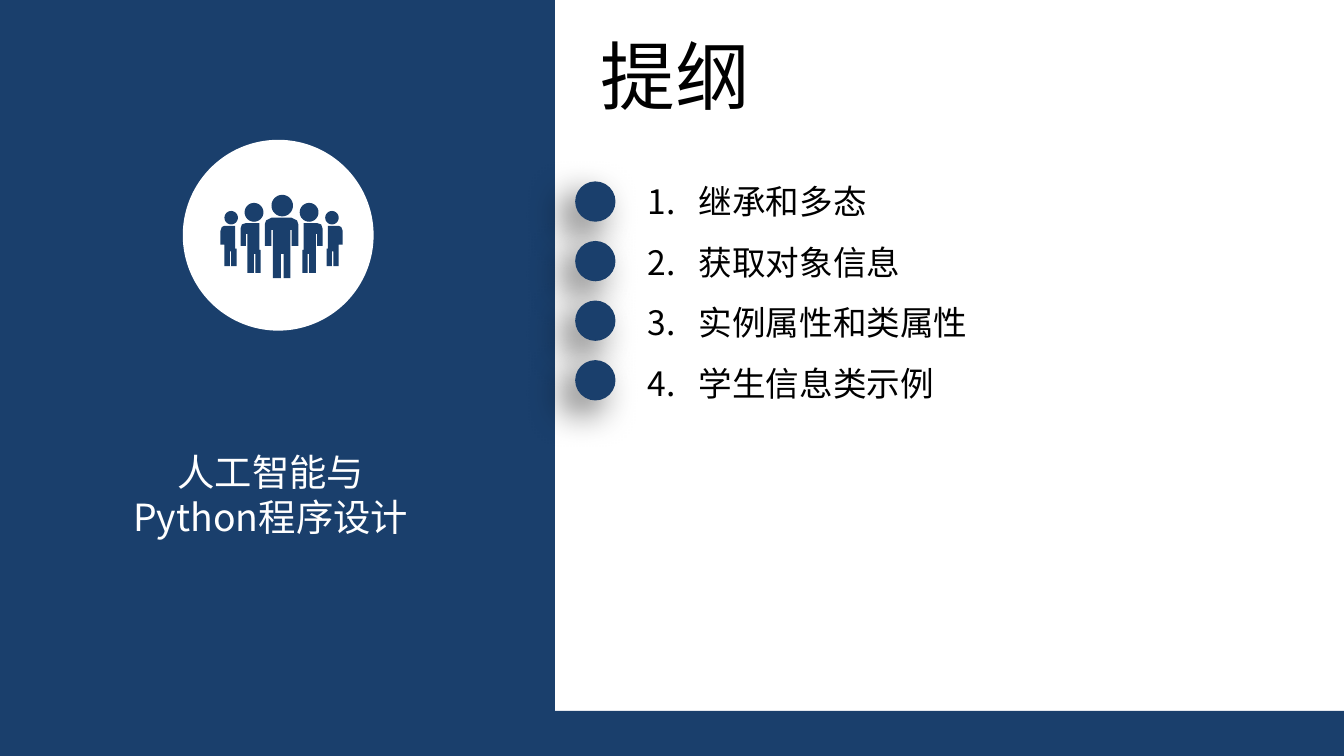
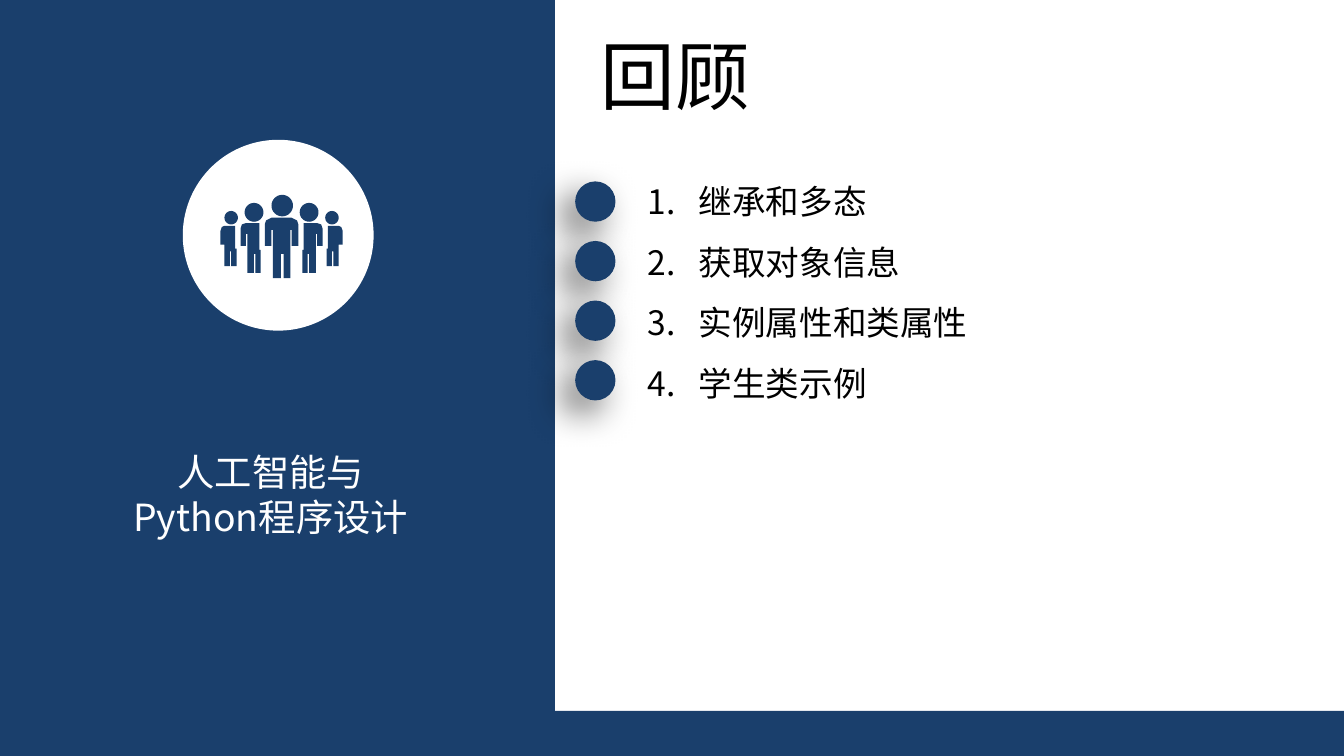
import math
from dataclasses import dataclass

import pptx
import pptx.dml.color
import pptx.enum.shapes
import pptx.enum.text
import pptx.oxml
import pptx.oxml.ns
import pptx.util
from pptx.util import Inches

SHAPE = pptx.enum.shapes.MSO_SHAPE
ALIGN = pptx.enum.text.PP_ALIGN
qn = pptx.oxml.ns.qn


@dataclass(frozen=True)
class Theme:
    navy: str = "1A3F6C"
    white: str = "FFFFFF"
    black: str = "000000"
    font: str = "Noto Sans CJK SC"
    title_size: int = 40
    course_size: int = 20
    topic_size: int = 18


@dataclass(frozen=True)
class Box:
    left: float
    top: float
    width: float
    height: float

    def emu(self) -> tuple:
        return tuple(Inches(v) for v in (self.left, self.top, self.width, self.height))


@dataclass(frozen=True)
class Figure:
    """One person of the crowd icon: a round head and a body outline."""
    head: tuple  # centre x, centre y, radius
    body: tuple

    def mirrored(self) -> "Figure":
        x, y, radius = self.head
        return Figure((MIRROR - x, y, radius), tuple((MIRROR - px, py) for px, py in self.body))

    def contours(self) -> list:
        x, y, radius = self.head
        angles = [math.tau * i / HEAD_SIDES for i in range(HEAD_SIDES)]
        head = [(x + radius * math.cos(a), y + radius * math.sin(a)) for a in angles]
        return [head, list(self.body)]


@dataclass(frozen=True)
class TopicSlide:
    title: str
    topics: tuple


THEME = Theme()

# Places, in inches; the slide is 16:9
SLIDE_W = 10
SLIDE_H = SLIDE_W * 9 / 16
BAND = Box(0, 5.29, SLIDE_W, 0.34)
PANEL = Box(0, 0, 4.13, SLIDE_H)
TITLE = Box(4.37, 0.17, 1.32, 0.77)
COURSE = Box(0.54, 3.34, 2.95, 0.67)
BADGE = Box(1.36, 1.04, 1.42, 1.42)
TOPICS = Box(4.72, 1.15, 4.21, 1.87)
DOT = Box(4.28, 1.35, 0.3, 0.3)
LAST_DOT_TOP = 2.68
TOPIC_INDENT = 0.38

# Crowd icon: the people on the right mirror those on the left
MIRROR = 4.19
HEAD_SIDES = 32
OUTER = Figure((1.72, 1.62, 0.05), (
    (1.76, 1.85), (1.76, 1.98), (1.72, 1.98), (1.72, 1.87), (1.71, 1.87), (1.71, 1.98),
    (1.67, 1.98), (1.67, 1.75), (1.67, 1.82), (1.64, 1.82), (1.64, 1.72), (1.65, 1.69),
    (1.67, 1.68), (1.75, 1.68), (1.75, 1.85)))
INNER = Figure((1.89, 1.58, 0.07), (
    (1.94, 1.86), (1.94, 2.03), (1.9, 2.03), (1.9, 1.89), (1.89, 1.89), (1.89, 2.03),
    (1.84, 2.03), (1.84, 1.74), (1.83, 1.74), (1.83, 1.83), (1.79, 1.83), (1.79, 1.7),
    (1.8, 1.67), (1.83, 1.66), (1.93, 1.66), (1.93, 1.86)))
LEADER = Figure((2.1, 1.53, 0.08), (
    (2.17, 1.83), (2.17, 1.71), (2.16, 1.71), (2.16, 2.07), (2.11, 2.07), (2.11, 1.89),
    (2.09, 1.89), (2.09, 2.07), (2.03, 2.07), (2.03, 1.71), (2.02, 1.71), (2.02, 1.83),
    (1.97, 1.83), (1.97, 1.67), (1.98, 1.64), (2.02, 1.62), (2.17, 1.62), (2.21, 1.64),
    (2.22, 1.67), (2.22, 1.83)))
CROWD = (OUTER, INNER, LEADER, INNER.mirrored(), OUTER.mirrored())

# Wording
COURSE_LINES = ("人工智能与", "Python程序设计")
COMMON_TOPICS = ("继承和多态", "获取对象信息", "实例属性和类属性")
SLIDES = (
    TopicSlide("提纲", COMMON_TOPICS + ("学生信息类示例",)),
    TopicSlide("回顾", COMMON_TOPICS + ("学生类示例",)),
)


def rgb(color: str):
    return pptx.dml.color.RGBColor.from_string(color)


def paint(sp, color: str) -> None:
    sp.fill.solid()
    sp.fill.fore_color.rgb = rgb(color)
    sp.line.fill.background()
    sp.shadow.inherit = False


def add_block(shapes, kind, box: Box, color: str):
    sp = shapes.add_shape(kind, *box.emu())
    paint(sp, color)
    return sp


def format_runs(p, size: int, color: str) -> None:
    for r in p.runs:
        r.font.size = pptx.util.Pt(size)
        r.font.color.rgb = rgb(color)
        r.font.name = THEME.font
        ea = r.font._element.makeelement(qn("a:ea"), {"typeface": THEME.font})
        r.font._element.find(qn("a:latin")).addnext(ea)


def write_lines(tf, lines: tuple, size: int, color: str, align) -> None:
    tf.text = "\n".join(lines)
    for p in tf.paragraphs:
        p.alignment = align
        format_runs(p, size, color)


def add_text(slide, box: Box, lines: tuple, size: int, color: str, align=ALIGN.LEFT):
    tf = slide.shapes.add_textbox(*box.emu()).text_frame
    tf.word_wrap = True
    tf.auto_size = pptx.enum.text.MSO_AUTO_SIZE.SHAPE_TO_FIT_TEXT
    write_lines(tf, lines, size, color, align)
    return tf


def set_title(slide, text: str) -> None:
    sp = slide.shapes.title
    sp.left, sp.top, sp.width, sp.height = TITLE.emu()
    tf = sp.text_frame
    tf.word_wrap = False
    tf.auto_size = pptx.enum.text.MSO_AUTO_SIZE.SHAPE_TO_FIT_TEXT
    tf.vertical_anchor = pptx.enum.text.MSO_ANCHOR.TOP
    write_lines(tf, (text,), THEME.title_size, THEME.black, ALIGN.LEFT)


def number_paragraph(p) -> None:
    pPr = p._p.get_or_add_pPr()
    pPr.set("marL", str(Inches(TOPIC_INDENT)))
    pPr.set("indent", str(-Inches(TOPIC_INDENT)))
    for tag, attrs in (("a:buFont", {"typeface": "+mj-lt"}),
                       ("a:buAutoNum", {"type": "arabicPeriod"})):
        pPr.append(pPr.makeelement(qn(tag), attrs))
    p.line_spacing = 1.5


def add_soft_shadow(sp) -> None:
    effects = sp._element.spPr.find(qn("a:effectLst"))
    effects.append(pptx.oxml.parse_xml(
        f'<a:outerShdw {pptx.oxml.ns.nsdecls("a")} blurRad="{pptx.util.Pt(20)}" '
        f'dist="{pptx.util.Pt(10)}" dir="{135 * 60000}" algn="tr" rotWithShape="0">'
        f'<a:srgbClr val="{THEME.black}"><a:alpha val="60000"/></a:srgbClr></a:outerShdw>'))


def add_badge(slide) -> None:
    group = slide.shapes.add_group_shape()
    add_block(group.shapes, SHAPE.OVAL, BADGE, THEME.white)
    contours = [[(Inches(x), Inches(y)) for x, y in contour]
                for figure in CROWD for contour in figure.contours()]
    builder = group.shapes.build_freeform(*contours[0][0])
    for i, contour in enumerate(contours):
        if i:
            builder.move_to(*contour[0])
        builder.add_line_segments(contour[1:], close=True)
    paint(builder.convert_to_shape(), THEME.navy)


def add_frame(slide) -> None:
    # Band, side panel, badge and course name
    add_block(slide.shapes, SHAPE.RECTANGLE, BAND, THEME.navy)
    add_block(slide.shapes, SHAPE.RECTANGLE, PANEL, THEME.navy)
    tf = add_text(slide, COURSE, COURSE_LINES, THEME.course_size, THEME.white, ALIGN.CENTER)
    tf.margin_left = tf.margin_right = tf.margin_top = tf.margin_bottom = 0
    add_badge(slide)


def add_topics(slide, topics: tuple) -> None:
    # Numbered list with one dot per line
    tf = add_text(slide, TOPICS, topics, THEME.topic_size, THEME.black)
    step = (LAST_DOT_TOP - DOT.top) / (len(topics) - 1)
    for i, p in enumerate(tf.paragraphs):
        number_paragraph(p)
        box = Box(DOT.left, DOT.top + i * step, DOT.width, DOT.height)
        add_soft_shadow(add_block(slide.shapes, SHAPE.OVAL, box, THEME.navy))


def main() -> None:
    prs = pptx.Presentation()
    prs.slide_width, prs.slide_height = Inches(SLIDE_W), Inches(SLIDE_H)
    title_only = prs.slide_layouts[5]
    for content in SLIDES:
        slide = prs.slides.add_slide(title_only)
        add_frame(slide)
        set_title(slide, content.title)
        add_topics(slide, content.topics)
    prs.save("out.pptx")


if __name__ == "__main__":
    main()
